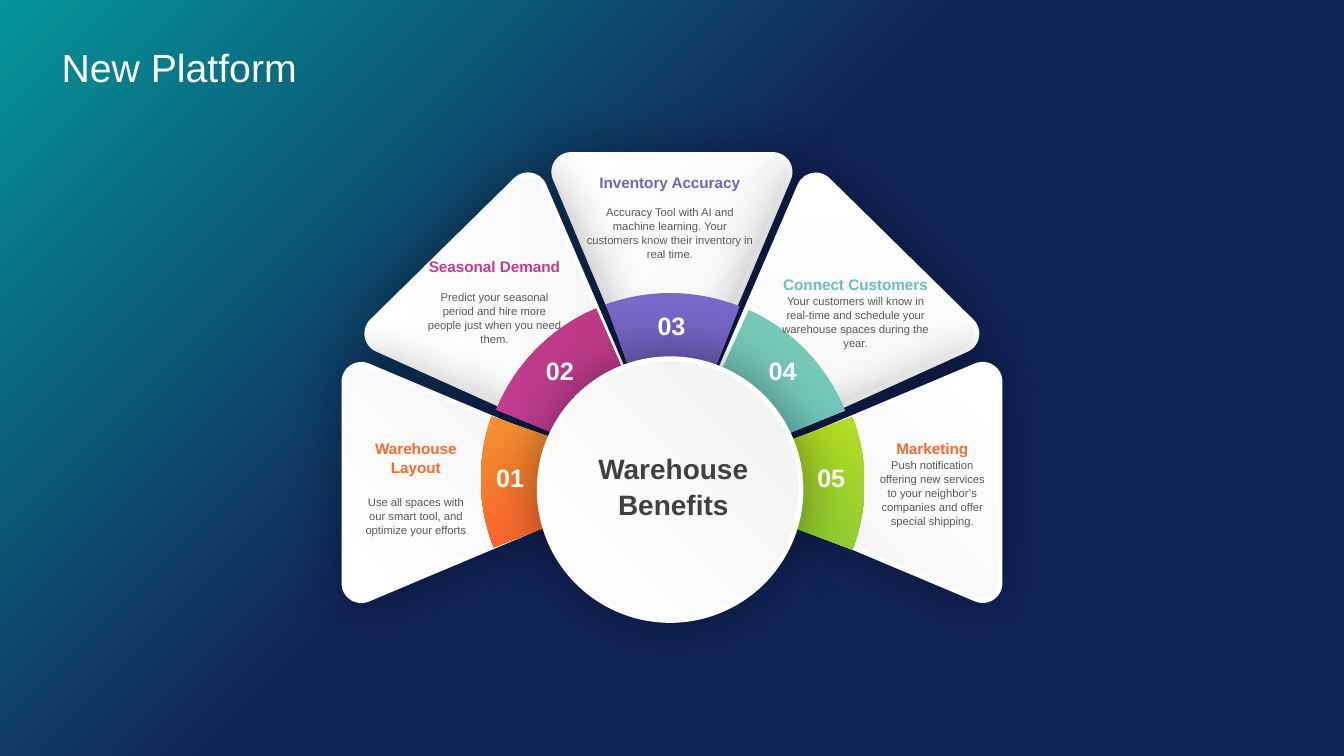
import math

import lxml.etree
import pptx
import pptx.dml.color
import pptx.enum.shapes
import pptx.enum.text
import pptx.oxml.ns
import pptx.util

Cm, Pt = pptx.util.Cm, pptx.util.Pt
RGB = pptx.dml.color.RGBColor
KIND = pptx.enum.shapes.MSO_SHAPE
ALIGN = pptx.enum.text.PP_ALIGN
ANCHOR = pptx.enum.text.MSO_ANCHOR
qn = pptx.oxml.ns.qn

WHITE = RGB(0xFF, 0xFF, 0xFF)
PALE = RGB(0xF2, 0xF2, 0xF2)
TEAL = RGB(0x04, 0x95, 0x99)
NAVY = RGB(0x11, 0x24, 0x59)
DARK = RGB(0x40, 0x40, 0x40)
GREY = RGB(0x59, 0x59, 0x59)
ORANGE = RGB(0xF5, 0x6C, 0x2D)
PINK = RGB(0xBF, 0x3D, 0x90)
PURPLE = RGB(0x72, 0x63, 0xC0)
MINT = RGB(0x67, 0xC1, 0xB7)
AMBER, RED = RGB(0xF2, 0xA3, 0x30), RGB(0xFF, 0x4C, 0x2C)
ROSE, PLUM = RGB(0xBE, 0x3A, 0x84), RGB(0xC3, 0x40, 0xA2)
LILAC, GRAPE = RGB(0x79, 0x6A, 0xCA), RGB(0x49, 0x3C, 0x8C)
AQUA, SEA = RGB(0x76, 0xC9, 0xB9), RGB(0x17, 0x9E, 0xB9)
LIME, LEAF = RGB(0xB7, 0xE0, 0x20), RGB(0x6D, 0xBD, 0x40)

# All lengths below are in centimetres.
WIDE, HIGH = 25.4, 14.29
HUB = (12.7, 9.12)
ROUND = 0.33

# head, body, colour, gap in points, box
NOTES = [
    ("Warehouse Layout",
     "Use all spaces with our smart tool, and optimize your efforts",
     ORANGE, 9.9, (6.83, 8.28, 2.06, 2.64)),
    ("Seasonal Demand",
     "Predict your seasonal period and hire more people just when you need them.",
     PINK, 7.2, (8.05, 4.85, 2.59, 2.64)),
    ("Inventory Accuracy",
     "Accuracy Tool with AI and machine learning. Your customers know their "
     "inventory in real time.",
     PURPLE, 7.2, (11.07, 3.25, 3.18, 1.93)),
    ("Connect Customers",
     "Your customers will know in real-time and schedule your warehouse spaces "
     "during the year.",
     MINT, 0, (14.66, 5.18, 3.02, 2.64)),
    ("Marketing",
     "Push notification offering new services to your neighbor’s companies and "
     "offer special shipping.",
     ORANGE, 0, (16.59, 8.28, 2.06, 2.64)),
]

# turn in degrees, distance from hub, height
PETALS = [(0, 3.61, 5.18), (44.5, 3.35, 5.59), (90, 3.61, 5.18),
          (-44.5, 3.37, 5.56), (-90, 3.61, 5.18)]

# left, top, adjustments, gradient stops
ARCS = [
    (9.09, 5.51, (95.2, 119.68, 0.2), [(0.21, AMBER), (0.86, RED)]),
    (9.12, 5.54, (121.32, 148.07, 0.24), [(0, ROSE), (0.75, PLUM)]),
    (9.12, 5.54, (150.02, 175.04, 0.22), [(0, LILAC), (0.75, GRAPE)]),
    (9.14, 5.54, (176.68, 202.83, 0.21), [(0.27, AQUA), (1, SEA)]),
    (9.25, 5.59, (203.55, 12.44, 0.24), [(0.27, LIME), (1, LEAF)]),
]
SPOTS = [(9.07, 8.61), (10.01, 6.6), (12.12, 5.74), (14.22, 6.6), (15.14, 8.61)]

FLUSH = {"margin_left": 0, "margin_right": 0, "margin_top": 0, "margin_bottom": 0}
GLOSS = [(0, WHITE), (1, PALE)]


def put(item, vals):
    for name, val in vals.items():
        setattr(item, name, val)


def shade(shape, stops, angle):
    """Fill with a two-stop gradient; the angle runs counter-clockwise."""
    shape.shadow.inherit = False
    shape.line.fill.background()
    shape.fill.gradient()
    shape.fill.gradient_angle = angle
    for stop, (place, tint) in zip(shape.fill.gradient_stops, stops):
        stop.position = place
        stop.color.rgb = tint


def gloss(shape, angle):
    """White glossy fill, white rim and soft shadow."""
    shade(shape, GLOSS, angle)
    shape.line.color.rgb = WHITE
    shape.line.width = Pt(2.5)
    glow = lxml.etree.SubElement(
        shape._element.spPr.find(qn("a:effectLst")), qn("a:outerShdw"),
        blurRad=str(Pt(30)), dist="0", dir="0", algn="ctr", rotWithShape="0")
    tint = lxml.etree.SubElement(glow, qn("a:srgbClr"), val="000000")
    lxml.etree.SubElement(tint, qn("a:alpha"), val="40000")


def petal(slide, turn, dist, high, wide=4.47):
    """Rounded triangle whose tip points at the hub."""
    rad = math.radians(turn)
    left = HUB[0] + dist * math.sin(rad) - wide / 2
    top = HUB[1] - dist * math.cos(rad) - high / 2
    slant = math.degrees(math.atan2(wide / 2 - ROUND, high - 2 * ROUND))
    bends = [(wide - ROUND, ROUND, -90, slant),
             (wide / 2, high - ROUND, slant, 180 - slant),
             (ROUND, ROUND, 180 - slant, 270)]
    steps = 12
    dots = []
    for x, y, start, end in bends:
        for i in range(steps + 1):
            a = math.radians(start + (end - start) * i / steps)
            dots.append((Cm(left + x + ROUND * math.cos(a)),
                         Cm(top + y + ROUND * math.sin(a))))
    form = slide.shapes.build_freeform(*dots[0])
    form.add_line_segments(dots[1:], close=True)
    shape = form.convert_to_shape()
    shape.rotation = turn
    gloss(shape, 315)


def write(slide, box, lines, frame):
    """Centred text box; each line is text, size, colour, bold, gap."""
    text = slide.shapes.add_textbox(*map(Cm, box)).text_frame
    put(text, {"word_wrap": True, **frame})
    for i, (words, size, tint, bold, gap) in enumerate(lines):
        para = text.add_paragraph() if i else text.paragraphs[0]
        put(para, {"text": words, "alignment": ALIGN.CENTER})
        if frame:
            para.line_spacing = 1.05
        if i:
            para.space_before = Pt(gap)
        font = para.runs[0].font
        put(font, {"name": "Arial", "size": Pt(size), "bold": bold})
        font.color.rgb = tint


def main():
    deck = pptx.Presentation()
    put(deck, {"slide_width": Cm(WIDE), "slide_height": Cm(HIGH)})
    slide = deck.slides.add_slide(deck.slide_layouts[5])
    shapes = slide.shapes

    back = shapes.add_shape(KIND.RECTANGLE, 0, 0, Cm(WIDE), Cm(HIGH))
    shade(back, [(0, TEAL), (0.46, NAVY)], 315)
    shapes._spTree.insert(2, back._element)

    title = shapes.title
    put(title, {"left": Cm(0.91), "top": Cm(0.69),
                "width": Cm(7.14), "height": Cm(1.14)})
    put(title.text_frame, {"text": "New Platform", "vertical_anchor": ANCHOR.MIDDLE})
    para = title.text_frame.paragraphs[0]
    para.alignment = ALIGN.LEFT
    put(para.runs[0].font, {"name": "Arial", "size": Pt(21)})
    para.runs[0].font.color.rgb = WHITE

    for turn, dist, high in PETALS:
        petal(slide, turn, dist, high)

    for left, top, bends, stops in ARCS:
        arc = shapes.add_shape(KIND.BLOCK_ARC, Cm(left), Cm(top), Cm(7.09), Cm(7.09))
        for i, bend in enumerate(bends):
            arc.adjustments[i] = bend
        shade(arc, stops, 270)

    disc = shapes.add_shape(KIND.OVAL, Cm(10.19), Cm(6.78), Cm(4.95), Cm(4.95))
    gloss(disc, 45)

    for head, body, tint, gap, box in NOTES:
        write(slide, box, [(head, 8.2, tint, True, 0),
                           (body, 6, GREY, False, gap)], FLUSH)
    for i, spot in enumerate(SPOTS, 1):
        write(slide, (*spot, 1.14, 0.84), [(f"{i:02}", 13.5, WHITE, True, 0)], {})
    write(slide, (10.77, 8.51, 3.91, 0.69),
          [("Warehouse Benefits", 15, DARK, True, 0)], FLUSH)

    deck.save("out.pptx")


if __name__ == "__main__":
    main()
